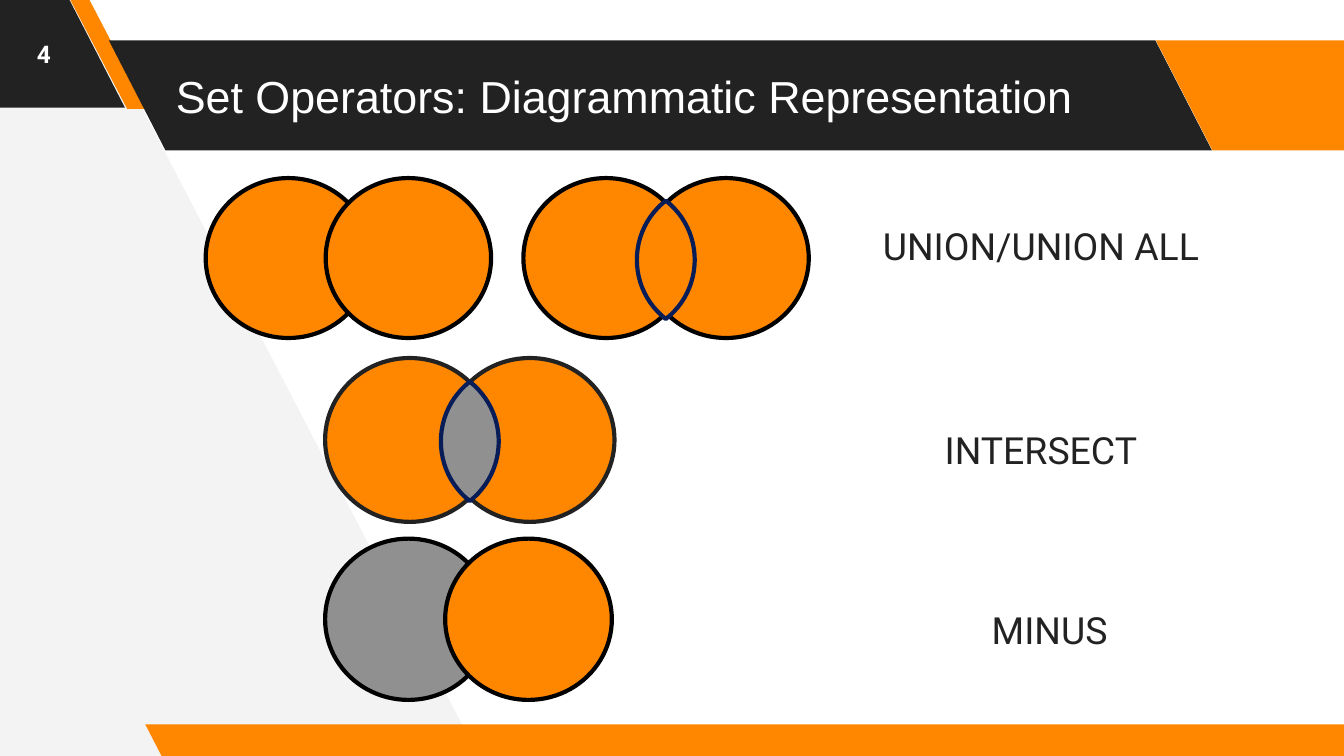
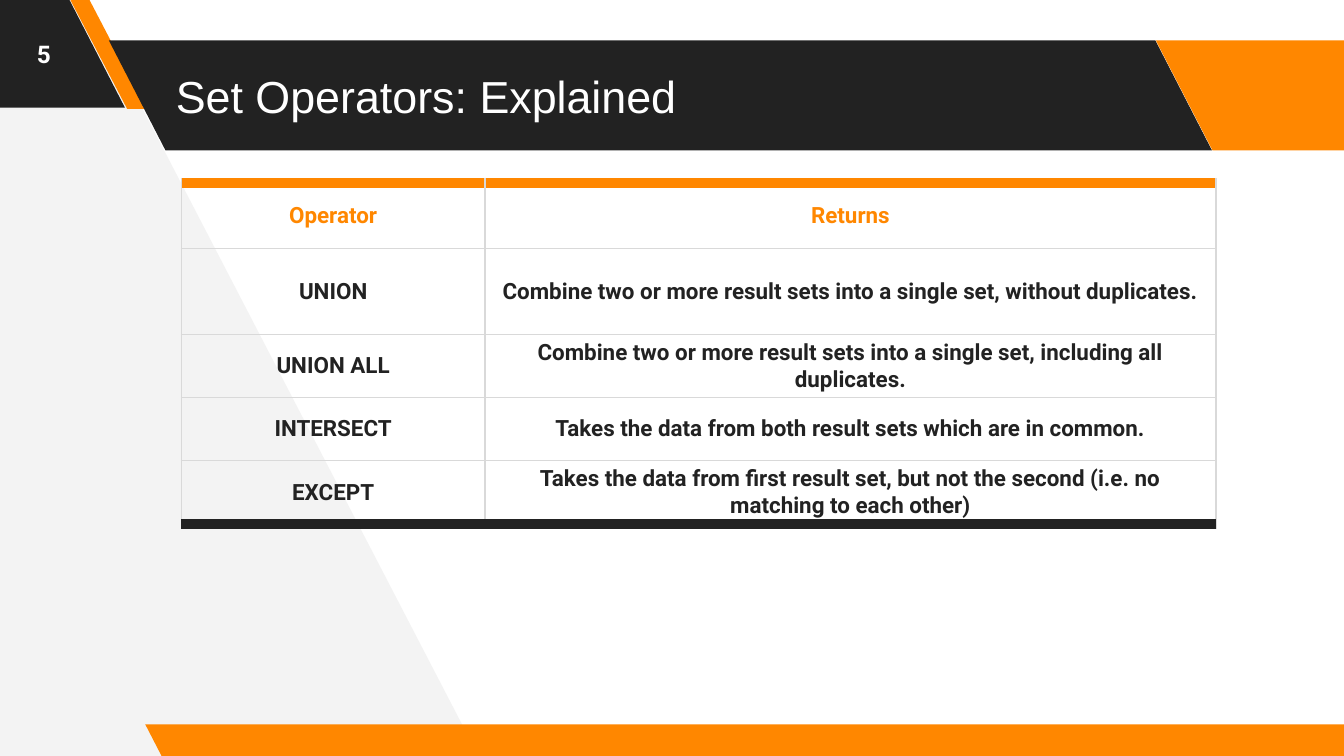
from math import asin, cos, sin

from lxml.etree import SubElement
from pptx import Presentation
from pptx.dml.color import RGBColor
from pptx.enum.shapes import MSO_SHAPE
from pptx.enum.text import MSO_ANCHOR, MSO_AUTO_SIZE, PP_ALIGN
from pptx.oxml.ns import qn
from pptx.util import Pt

# Colours
ORANGE = RGBColor(0xFF, 0x87, 0x00)
DARK = RGBColor(0x22, 0x22, 0x22)
PALE = RGBColor(0xF3, 0xF3, 0xF3)
GRAY = RGBColor(0x90, 0x90, 0x90)
RULE = RGBColor(0xD9, 0xD9, 0xD9)
NAVY = RGBColor(0x08, 0x1D, 0x58)
BLACK = RGBColor(0, 0, 0)
WHITE = RGBColor(0xFF, 0xFF, 0xFF)

# Text styles
TITLE = {"name": "Arial", "size": Pt(24), "bold": False}
NUMBER = {"name": "Roboto", "size": Pt(13), "bold": True}
LABEL = {"name": "Roboto", "size": Pt(20), "bold": False}
CELL = {"name": "Roboto", "size": Pt(12), "bold": True}

# Slanted bands: left, top, width, height, slant, colour
BANDS = [
    (-71.3, -1.4, 138.2, 59, 0.515, DARK),
    (37.4, -0.7, 41, 59, 0.75, ORANGE),
    (58.3, 21.6, 591, 59, 0.515, DARK),
    (619.2, 21.6, 138.2, 59, 0.515, ORANGE),
    (77.8, 388, 658.8, 18, 0.515, ORANGE),
]
WEDGE = [(256.3, 405), (44.6, -2.9), (-4.3, -2.9), (-1.4, 407.5)]

# Circle pairs: left, top, width, height, fill of the left circle, outline
PAIRS = [
    (110.2, 95.4, 88.6, 85.7, ORANGE, BLACK),
    (280.4, 95.4, 88.6, 85.7, ORANGE, BLACK),
    (174.2, 191.8, 90.7, 87.8, ORANGE, DARK),
    (174.2, 288.6, 89.3, 86.4, GRAY, BLACK),
]
PAIR_STEP = 64.3

# Overlaps: left, top, width, height, fill
OVERLAPS = [
    (341.2, 107.5, 31, 63.4, ORANGE),
    (236.2, 204.5, 31, 64, GRAY),
]

# Labels: text, left, top, width, wrap
LABELS = [
    ("UNION/UNION ALL", 464.4, 115.2, 260, True),
    ("INTERSECT", 497.5, 224.6, 122.4, False),
    ("MINUS", 522.7, 321.1, 80, False),
]

OPERATORS = [
    ("Operator", "Returns"),
    ("UNION", "Combine two or more result sets into a single set, without duplicates."),
    ("UNION ALL", "Combine two or more result sets into a single set, including all duplicates."),
    ("INTERSECT", "Takes the data from both result sets which are in common."),
    ("EXCEPT", "Takes the data from first result set, but not the second "
               "(i.e. no matching to each other)"),
]
COLUMN_WIDTHS = [162.6, 391.6]
ROW_HEIGHTS = [35.3, 46.1, 33.8, 33.8, 33.8]


def points(*values):
    return [Pt(value) for value in values]


class Deck:
    def __init__(self):
        self.presentation = Presentation()
        self.presentation.slide_width = Pt(720)
        self.presentation.slide_height = Pt(405)
        self.slide = None

    def new_slide(self, title, number):
        """Start a slide with the shared bands, title and number."""
        self.slide = self.presentation.slides.add_slide(self.presentation.slide_layouts[6])
        self.outline(WEDGE, PALE)
        for left, top, width, height, slant, colour in BANDS:
            self.band(left, top, width, height, slant, colour)
        self.text(title, (87.1, 21.6, 529.2, 59), TITLE, WHITE)
        self.text(number, (0, 0, 46.8, 57.6), NUMBER, WHITE, PP_ALIGN.CENTER)

    def paint(self, shape, fill, line=None):
        shape.shadow.inherit = False
        shape.fill.solid()
        shape.fill.fore_color.rgb = fill
        if line is None:
            shape.line.fill.background()
        else:
            shape.line.color.rgb = line
            shape.line.width = Pt(2.25)

    def outline(self, corners, fill, line=None):
        start, *others = [points(*corner) for corner in corners]
        builder = self.slide.shapes.build_freeform(*start)
        builder.add_line_segments(others, close=True)
        self.paint(builder.convert_to_shape(), fill, line)

    def band(self, left, top, width, height, slant, fill):
        shape = self.slide.shapes.add_shape(
            MSO_SHAPE.PARALLELOGRAM, *points(left, top, width, height))
        shape.adjustments[0] = slant
        shape.element.spPr.find(qn("a:xfrm")).set("flipH", "1")
        self.paint(shape, fill)

    def circle_pair(self, left, top, width, height, left_fill, line):
        for offset, fill in ((0, left_fill), (PAIR_STEP, ORANGE)):
            shape = self.slide.shapes.add_shape(
                MSO_SHAPE.OVAL, *points(left + offset, top, width, height))
            self.paint(shape, fill, line)

    def overlap(self, left, top, width, height, fill, steps=24):
        """Draw a lens bounded by two equal circular arcs."""
        half_width, half_height = width / 2, height / 2
        radius = (half_width ** 2 + half_height ** 2) / width
        sweep = asin(half_height / radius)
        angles = [sweep * (2 * step / steps - 1) for step in range(steps)]
        corners = [
            (left + half_width + side * (half_width - radius + radius * cos(angle)),
             top + half_height + side * radius * sin(angle))
            for side in (1, -1) for angle in angles
        ]
        self.outline(corners, fill, NAVY)

    def add_run(self, frame, text, style, colour, align):
        paragraph = frame.paragraphs[0]
        paragraph.alignment = align
        run = paragraph.add_run()
        run.text = text
        for name, value in style.items():
            setattr(run.font, name, value)
        run.font.color.rgb = colour

    def margins(self, target, horizontal, vertical):
        for side, value in {"left": horizontal, "right": horizontal,
                            "top": vertical, "bottom": vertical}.items():
            setattr(target, f"margin_{side}", Pt(value))

    def text(self, text, box, style, colour, align=PP_ALIGN.LEFT):
        frame = self.slide.shapes.add_textbox(*points(*box)).text_frame
        frame.word_wrap = True
        frame.vertical_anchor = MSO_ANCHOR.MIDDLE
        self.margins(frame, 7.2, 7.2)
        self.add_run(frame, text, style, colour, align)
        return frame

    def label(self, text, left, top, width, wrap):
        frame = self.text(text, (left, top, width, 32.4), LABEL, DARK)
        frame.vertical_anchor = MSO_ANCHOR.TOP
        frame.word_wrap = wrap
        frame.auto_size = MSO_AUTO_SIZE.SHAPE_TO_FIT_TEXT
        self.margins(frame, 8.6, 4.3)

    def border(self, cell, side, colour, width):
        line = SubElement(cell._tc.get_or_add_tcPr(), qn(f"a:ln{side}"), w=str(Pt(width)))
        fill = SubElement(line, qn("a:solidFill"))
        SubElement(fill, qn("a:srgbClr"), val=str(colour))

    def table(self, rows, left, top):
        box = points(left, top, sum(COLUMN_WIDTHS), sum(ROW_HEIGHTS))
        table = self.slide.shapes.add_table(len(rows), len(COLUMN_WIDTHS), *box).table
        table.first_row = table.horz_banding = False
        for column, width in zip(table.columns, COLUMN_WIDTHS):
            column.width = Pt(width)
        for row, height in zip(table.rows, ROW_HEIGHTS):
            row.height = Pt(height)
        last = len(rows) - 1
        for row_index, texts in enumerate(rows):
            for column_index, text in enumerate(texts):
                cell = table.cell(row_index, column_index)
                is_header = row_index == 0
                self.add_run(cell.text_frame, text, CELL,
                             ORANGE if is_header else DARK, PP_ALIGN.CENTER)
                cell.vertical_anchor = MSO_ANCHOR.MIDDLE
                header_margins = [(0.7, 0.7), (7.2, 5)][column_index]
                self.margins(cell, *(header_margins if is_header else (5, 0.7)))
                # Thin grey grid, thick rules above and below the table
                borders = dict.fromkeys("LRTB", (RULE, 0.75))
                if is_header:
                    borders["T"] = (ORANGE, 6)
                if row_index == last:
                    borders["B"] = (DARK, 6)
                for side, (colour, width) in borders.items():
                    self.border(cell, side, colour, width)
                cell.fill.background()


def main():
    deck = Deck()

    # Diagrams
    deck.new_slide("Set Operators: Diagrammatic Representation", "4")
    for label in LABELS:
        deck.label(*label)
    for pair in PAIRS:
        deck.circle_pair(*pair)
    for overlap in OVERLAPS:
        deck.overlap(*overlap)

    # Explanations
    deck.new_slide("Set Operators: Explained", "5")
    deck.table(OPERATORS, 97.2, 97.9)

    deck.presentation.save("out.pptx")


if __name__ == "__main__":
    main()
